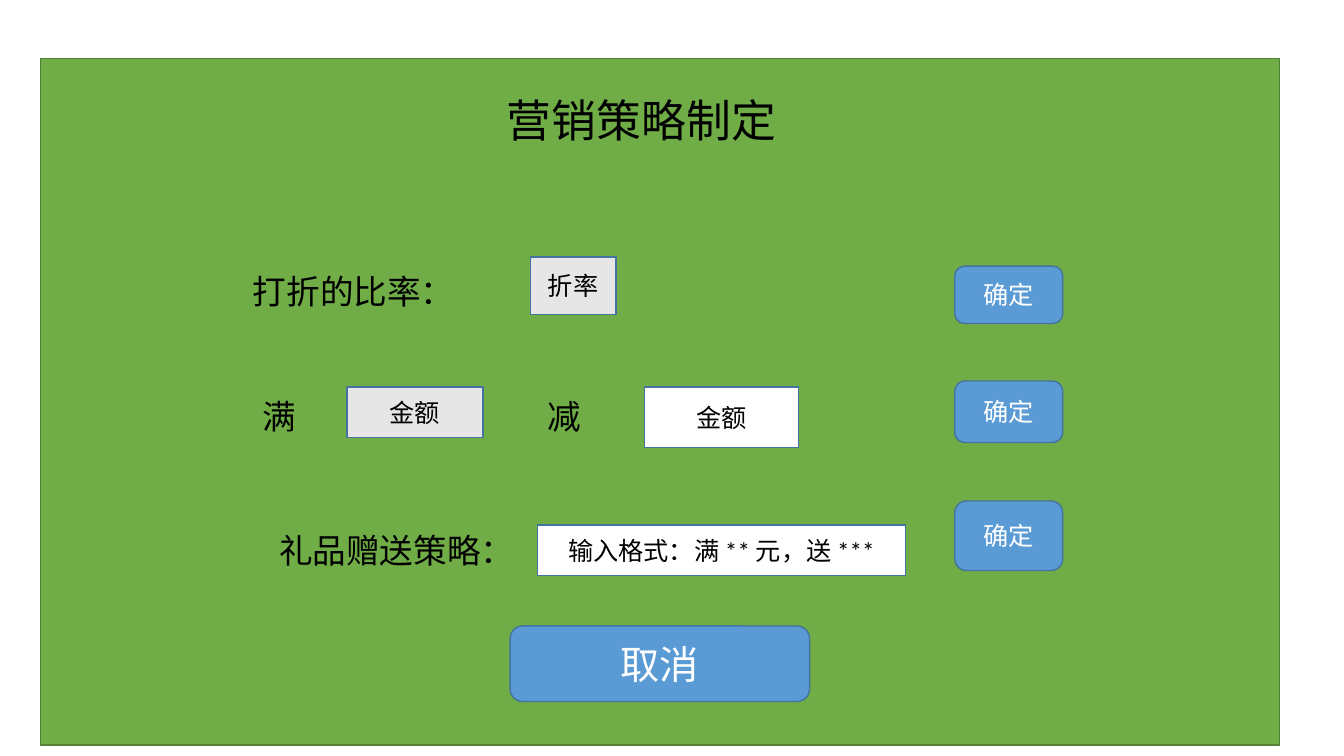
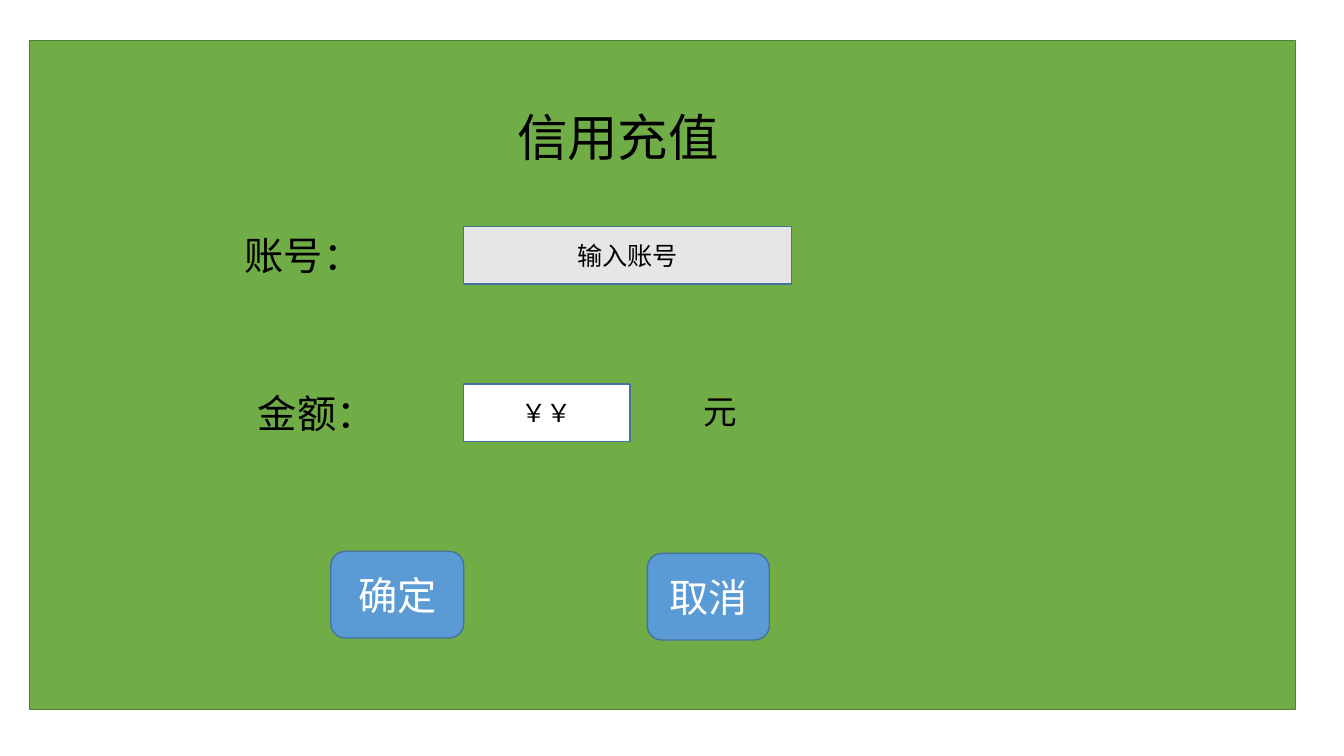
from pptx import Presentation
from pptx.dml.color import RGBColor
from pptx.enum.shapes import MSO_SHAPE
from pptx.enum.text import MSO_ANCHOR, PP_ALIGN
from pptx.util import Emu, Pt

PX = 9144
COLORS = {
    "panel": "70AD47",
    "panel_edge": "538035",
    "button": "5B9BD5",
    "edge": "43739E",
    "gray": "E7E6E6",
    "white": "FFFFFF",
    "black": "000000",
}


class FormDeck:
    """Draws form screens with one shared style, in px of 1/100 inch."""

    font = "Calibri"

    def __init__(self):
        self.deck = Presentation()
        self.deck.slide_width = Emu(1333 * PX)
        self.deck.slide_height = Emu(750 * PX)
        self.slide = None

    def color(self, key):
        return RGBColor.from_string(COLORS[key])

    def add_wording(self, frame, text, size, color, align):
        frame.word_wrap = True
        paragraph = frame.paragraphs[0]
        paragraph.alignment = align
        run = paragraph.add_run()
        run.text = text
        run.font.name = self.font
        run.font.size = Pt(size)
        run.font.color.rgb = self.color(color)

    def block(self, kind, box, fill, edge):
        shape = self.slide.shapes.add_shape(kind, *(Emu(v * PX) for v in box))
        shape.shadow.inherit = False
        shape.fill.solid()
        shape.fill.fore_color.rgb = self.color(fill)
        shape.line.color.rgb = self.color(edge)
        shape.line.width = Pt(1)
        shape.text_frame.vertical_anchor = MSO_ANCHOR.MIDDLE
        return shape

    def screen(self, *panel):
        self.slide = self.deck.slides.add_slide(self.deck.slide_layouts[6])
        self.block(MSO_SHAPE.RECTANGLE, panel, "panel", "panel_edge")

    def label(self, text, *box, size=24):
        area = self.slide.shapes.add_textbox(*(Emu(v * PX) for v in box))
        self.add_wording(area.text_frame, text, size, "black", PP_ALIGN.LEFT)

    def field(self, text, *box, fill="white"):
        shape = self.block(MSO_SHAPE.RECTANGLE, box, fill, "edge")
        self.add_wording(shape.text_frame, text, 18, "black", PP_ALIGN.CENTER)

    def button(self, text, *box, size=28):
        shape = self.block(MSO_SHAPE.ROUNDED_RECTANGLE, box, "button", "edge")
        self.add_wording(shape.text_frame, text, size, "white", PP_ALIGN.CENTER)

    def save(self):
        self.deck.save("out.pptx")


def marketing(form):
    form.screen(40, 58, 1229, 681)
    form.label("营销策略制定", 493, 87, 454, 64, size=32)

    for top, height in ((264, 57), (378, 61), (497, 69)):
        form.button("确定", 947, top, 107, height, size=18)
    form.button("取消", 506, 621, 297, 75)

    form.label("打折的比率：", 241, 264, 353, 50)
    form.field("折率", 526, 255, 85, 57, fill="gray")

    form.label("满", 251, 388, 185, 50)
    form.field("金额", 344, 384, 135, 50, fill="gray")
    form.label("减", 533, 388, 106, 50)
    form.field("金额", 639, 384, 153, 60)

    form.label("礼品赠送策略：", 267, 521, 229, 50)
    form.field("输入格式：满 ** 元，送 ***", 533, 521, 365, 50)


def recharge(form):
    form.screen(29, 40, 1256, 664)
    form.label("信用充值", 503, 100, 399, 71, size=36)

    form.label("账号：", 233, 225, 131, 57, size=28)
    form.field("输入账号", 460, 225, 325, 57, fill="gray")

    form.label("金额：", 246, 381, 118, 57, size=28)
    form.field("￥￥", 460, 381, 165, 57)
    form.label("元", 688, 383, 68, 50)

    form.button("确定", 328, 547, 132, 86)
    form.button("取消", 642, 549, 121, 86)


def main():
    form = FormDeck()
    marketing(form)
    recharge(form)
    form.save()


if __name__ == "__main__":
    main()
